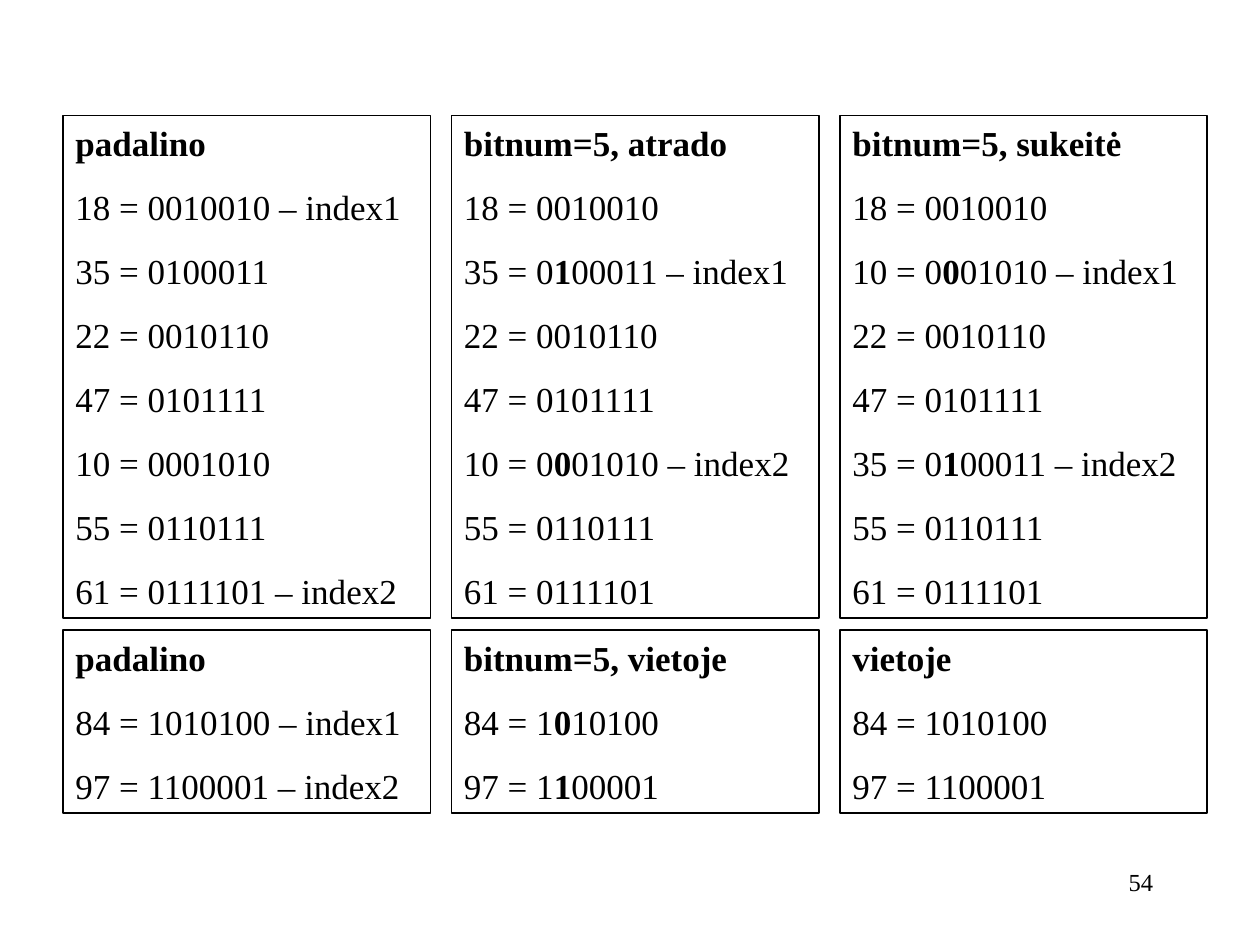
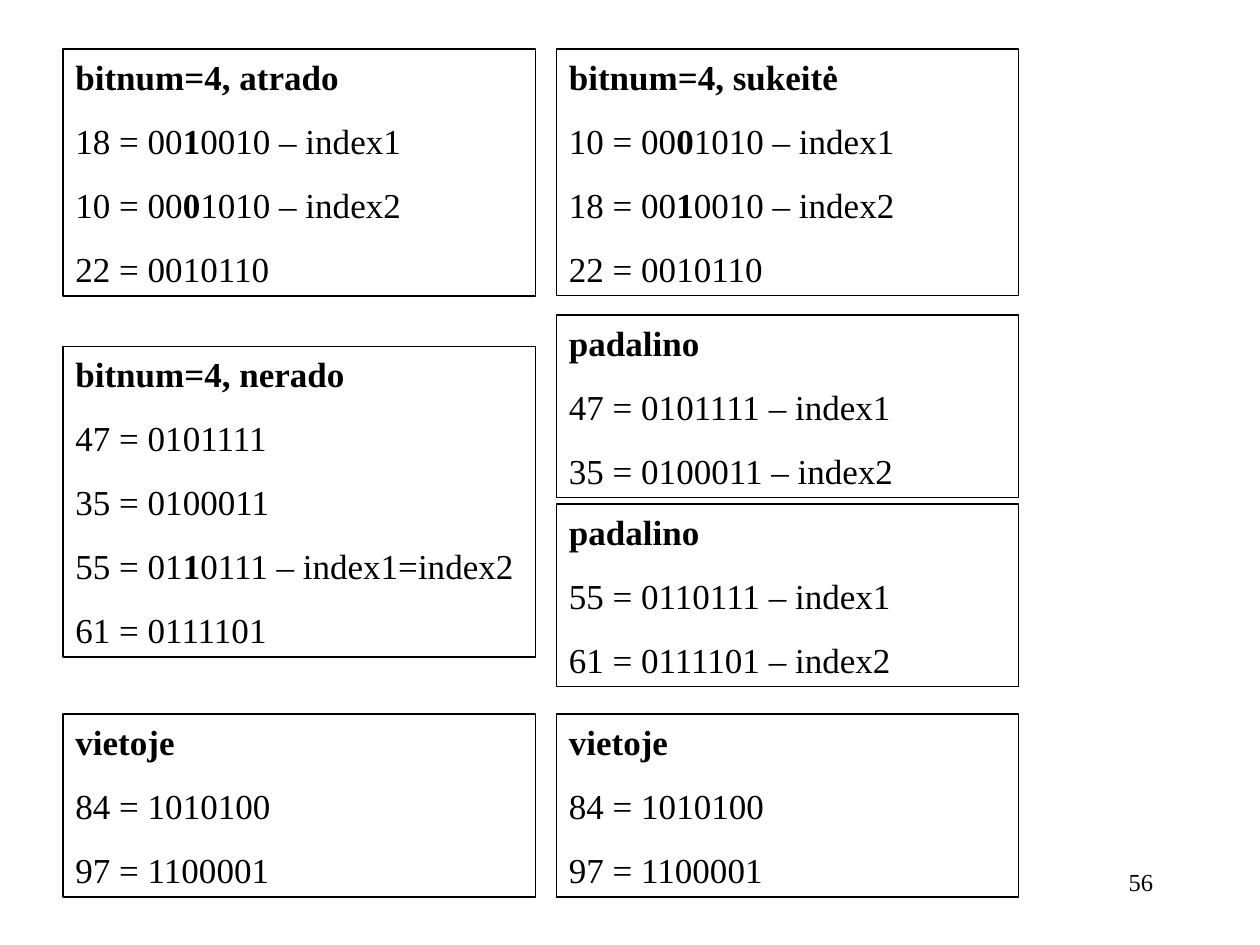
import dataclasses

import pptx
import pptx.dml.color
import pptx.enum.shapes
import pptx.enum.text
import pptx.util

Pt = pptx.util.Pt

FONT = "Times New Roman"
INK = "000000"
BODY_SIZE = 20
NUMBER_SIZE = 14
LINE_HEIGHT = 24.07
PARAGRAPH_GAP = 12.5
INSET_X = 7.2
INSET_Y = 3.6
LEFT_MARGIN = 36


@dataclasses.dataclass(frozen=True)
class Column:
    left: float
    width: float


@dataclasses.dataclass(frozen=True)
class Step:
    """One boxed state of the sort; asterisks in a row enclose the compared bit."""

    column: Column
    top: float
    title: str
    rows: tuple[str, ...]
    border: float = 1

    @property
    def height(self) -> float:
        count = len(self.rows) + 1
        return 2 * INSET_Y + count * LINE_HEIGHT + (count - 1) * PARAGRAPH_GAP


@dataclasses.dataclass(frozen=True)
class Page:
    number: int
    steps: tuple[Step, ...]


THIRDS = [Column(LEFT_MARGIN + 222 * index, 210) for index in range(3)]
WIDE_LEFT = Column(LEFT_MARGIN, 270)
WIDE_RIGHT = Column(318, 264)

UPPER_TOP, LOWER_TOP = 66, 360
FIRST_TOP, LAST_TOP = 28, 408
SETTLED = ("84 = 1010100", "97 = 1100001")

PAGES = (
    Page(54, (
        Step(THIRDS[0], UPPER_TOP, "padalino", (
            "18 = 0010010 – index1", "35 = 0100011", "22 = 0010110", "47 = 0101111",
            "10 = 0001010", "55 = 0110111", "61 = 0111101 – index2")),
        Step(THIRDS[1], UPPER_TOP, "bitnum=5, atrado", (
            "18 = 0010010", "35 = 0*1*00011 – index1", "22 = 0010110", "47 = 0101111",
            "10 = 0*0*01010 – index2", "55 = 0110111", "61 = 0111101")),
        Step(THIRDS[2], UPPER_TOP, "bitnum=5, sukeitė", (
            "18 = 0010010", "10 = 0*0*01010 – index1", "22 = 0010110", "47 = 0101111",
            "35 = 0*1*00011 – index2", "55 = 0110111", "61 = 0111101")),
        Step(THIRDS[0], LOWER_TOP, "padalino",
             ("84 = 1010100 – index1", "97 = 1100001 – index2")),
        Step(THIRDS[1], LOWER_TOP, "bitnum=5, vietoje",
             ("84 = 1*0*10100", "97 = 1*1*00001")),
        Step(THIRDS[2], LOWER_TOP, "vietoje", SETTLED),
    )),
    Page(56, (
        Step(WIDE_LEFT, FIRST_TOP, "bitnum=4, atrado",
             ("18 = 00*1*0010 – index1", "10 = 00*0*1010 – index2", "22 = 0010110")),
        Step(WIDE_RIGHT, FIRST_TOP, "bitnum=4, sukeitė",
             ("10 = 00*0*1010 – index1", "18 = 00*1*0010 – index2", "22 = 0010110"), 0.75),
        Step(WIDE_LEFT, LAST_TOP, "vietoje", SETTLED),
        Step(WIDE_RIGHT, LAST_TOP, "vietoje", SETTLED),
        Step(WIDE_LEFT, 198, "bitnum=4, nerado",
             ("47 = 0101111", "35 = 0100011", "55 = 01*1*0111 – index1=index2",
              "61 = 0111101")),
        Step(WIDE_RIGHT, 180, "padalino",
             ("47 = 0101111 – index1", "35 = 0100011 – index2"), 0.75),
        Step(WIDE_RIGHT, 288, "padalino",
             ("55 = 0110111 – index1", "61 = 0111101 – index2"), 0.75),
    )),
)


def color(value: str) -> pptx.dml.color.RGBColor:
    return pptx.dml.color.RGBColor.from_string(value)


def add_span(para, text: str, size: float, bold: bool = False) -> None:
    span = para.add_run()
    span.text = text
    span.font.name = FONT
    span.font.size = Pt(size)
    span.font.bold = bold
    span.font.color.rgb = color(INK)


def prepare_frame(frame) -> None:
    frame.word_wrap = True
    frame.vertical_anchor = pptx.enum.text.MSO_ANCHOR.TOP
    frame.margin_left = frame.margin_right = Pt(INSET_X)
    frame.margin_top = frame.margin_bottom = Pt(INSET_Y)


def add_step(slide, step: Step) -> None:
    box = slide.shapes.add_shape(
        pptx.enum.shapes.MSO_SHAPE.RECTANGLE,
        Pt(step.column.left), Pt(step.top), Pt(step.column.width), Pt(step.height))
    box.shadow.inherit = False
    box.fill.background()
    box.line.color.rgb = color(INK)
    box.line.width = Pt(step.border)
    frame = box.text_frame
    prepare_frame(frame)
    frame.auto_size = pptx.enum.text.MSO_AUTO_SIZE.SHAPE_TO_FIT_TEXT
    for index, row in enumerate((f"*{step.title}*", *step.rows)):
        para = frame.add_paragraph() if index else frame.paragraphs[0]
        para.alignment = pptx.enum.text.PP_ALIGN.LEFT
        para.space_before = Pt(PARAGRAPH_GAP)
        para.line_spacing = Pt(LINE_HEIGHT)
        for position, text in enumerate(row.split("*")):
            if text:
                add_span(para, text, BODY_SIZE, bold=position % 2 == 1)


def add_page_number(slide, number: int) -> None:
    box = slide.shapes.add_textbox(Pt(516), Pt(492), Pt(150), Pt(36))
    prepare_frame(box.text_frame)
    para = box.text_frame.paragraphs[0]
    para.alignment = pptx.enum.text.PP_ALIGN.RIGHT
    add_span(para, str(number), NUMBER_SIZE)


def main() -> None:
    deck = pptx.Presentation()
    deck.slide_width, deck.slide_height = Pt(720), Pt(540)
    for page in PAGES:
        slide = deck.slides.add_slide(deck.slide_layouts[6])
        for step in page.steps:
            add_step(slide, step)
        add_page_number(slide, page.number)
    deck.save("out.pptx")


if __name__ == "__main__":
    main()
